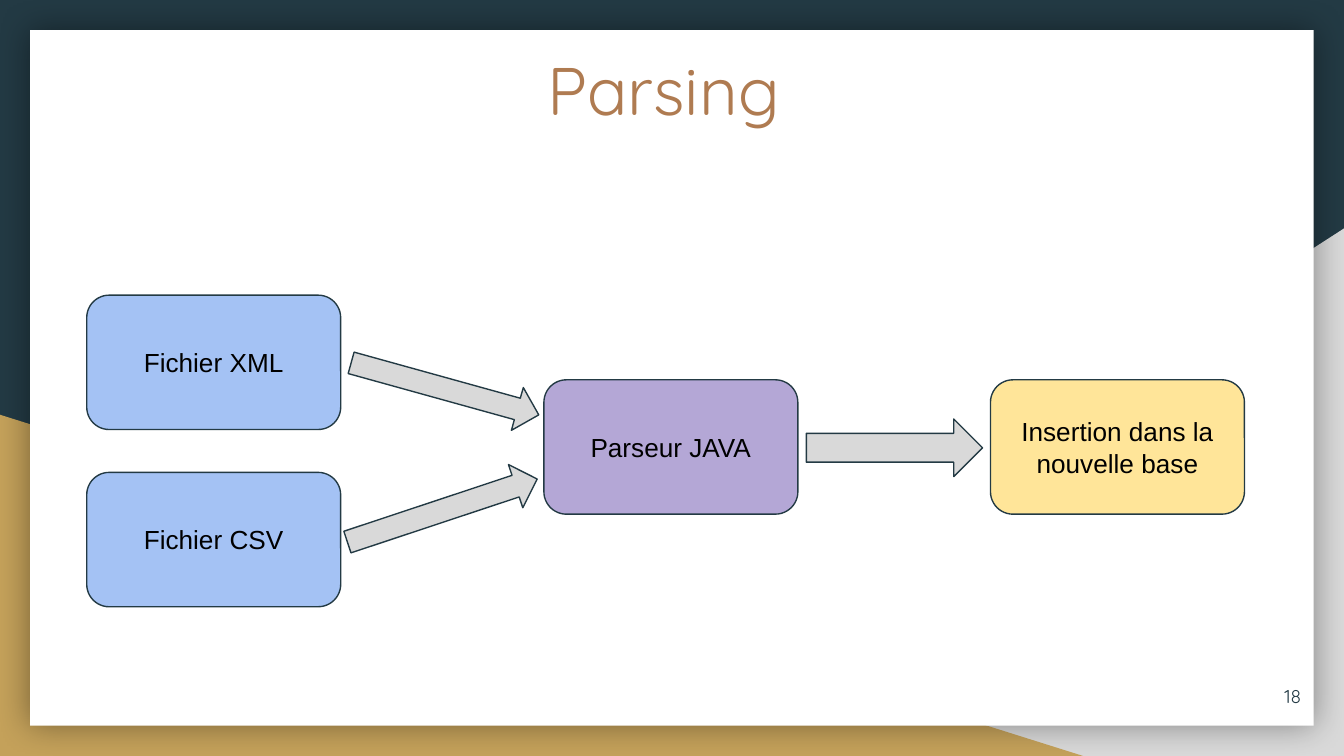
import lxml.etree
import pptx
import pptx.dml.color
import pptx.enum.shapes
import pptx.enum.text
import pptx.oxml.ns
import pptx.util

Cm = pptx.util.Cm
SHAPE = pptx.enum.shapes.MSO_SHAPE
ALIGN = pptx.enum.text.PP_ALIGN
ANCHOR = pptx.enum.text.MSO_ANCHOR
DARK, GREY, BLUE = "233A44", "D9D9D9", "A4C2F4"


def rgb(value):
    """Turn a hex string into a colour."""
    return pptx.dml.color.RGBColor.from_string(value)


def write(sp, text, size, font, color, align, anchor):
    """Set the text of a shape and format it."""
    tf = sp.text_frame
    tf.text = text
    tf.word_wrap = True
    tf.auto_size = pptx.enum.text.MSO_AUTO_SIZE.NONE
    tf.vertical_anchor = anchor
    tf.margin_left = tf.margin_right = tf.margin_top = tf.margin_bottom = Cm(0.25)
    p = tf.paragraphs[0]
    p.alignment = align
    r = p.runs[0]
    r.font.size = pptx.util.Pt(size)
    r.font.name = font
    r.font.color.rgb = rgb(color)


def add_shape(s, kind, box, fill, line=None):
    """Add a filled preset shape, outlined if a line colour is given."""
    sp = s.shapes.add_shape(kind, *map(Cm, box))
    sp.shadow.inherit = False
    sp.fill.solid()
    sp.fill.fore_color.rgb = rgb(fill)
    if line:
        sp.line.color.rgb = rgb(line)
        sp.line.width = pptx.util.Pt(0.75)
    else:
        sp.line.fill.background()
    return sp


def add_glow(sp):
    """Give a shape a soft dark shadow on all sides."""
    qn = pptx.oxml.ns.qn
    effects = sp.element.spPr.find(qn("a:effectLst"))
    shadow = lxml.etree.SubElement(effects, qn("a:outerShdw"), blurRad="228600",
                                   dist="0", dir="0", algn="ctr", rotWithShape="0")
    color = lxml.etree.SubElement(shadow, qn("a:srgbClr"), val="000000")
    lxml.etree.SubElement(color, qn("a:alpha"), val="40000")


def add_backdrop(s, box):
    """Draw the dark background, two corner triangles and the white card."""
    x, y, w, h = box
    s.background.fill.solid()
    s.background.fill.fore_color.rgb = rgb(DARK)
    grey_w, grey_h, gold_w, gold_h = 15.44, 9.97, 20.47, 6.45
    sp = add_shape(s, SHAPE.RIGHT_TRIANGLE,
                   (x + w - grey_w, y + h - grey_h, grey_w, grey_h), GREY)
    sp.element.spPr.find(pptx.oxml.ns.qn("a:xfrm")).set("flipH", "1")
    add_shape(s, SHAPE.RIGHT_TRIANGLE, (x, y + h - gold_h, gold_w, gold_h), "C4A15A")
    margin = 0.57
    card = add_shape(s, SHAPE.RECTANGLE,
                     (x + margin, y + margin, w - 2 * margin, h - 2 * margin), "FFFFFF")
    add_glow(card)


def add_title(s, box, text):
    """Place the title placeholder above the backdrop."""
    sp = s.shapes.title
    sp.left, sp.top, sp.width, sp.height = map(Cm, box)
    write(sp, text, 36, "Quicksand", "AF7B51", ALIGN.CENTER, ANCHOR.TOP)
    s.shapes.element.append(sp.element)


def add_number(s, box, text):
    """Add the page number."""
    sp = s.shapes.add_textbox(*map(Cm, box))
    write(sp, text, 10, "Quicksand", DARK, ALIGN.RIGHT, ANCHOR.MIDDLE)


def add_flow(s, box):
    """Draw the file, parser and database steps with their arrows."""
    x, y, w, h = box
    step_w, step_h = 4.8, 2.54
    parser_x, base_x, middle_y = 8.64, w - step_w, 1.6
    steps = [
        ("Fichier XML", 0, 0, BLUE),
        ("Parseur JAVA", parser_x, middle_y, "B4A7D6"),
        ("Insertion dans la nouvelle base", base_x, middle_y, "FFE599"),
        ("Fichier CSV", 0, h - step_h, BLUE),
    ]
    for text, dx, dy, fill in steps:
        sp = add_shape(s, SHAPE.ROUNDED_RECTANGLE,
                       (x + dx, y + dy, step_w, step_h), fill, DARK)
        sp.adjustments[0] = 0.167
        write(sp, text, 14, "Arial", "000000", ALIGN.CENTER, ANCHOR.MIDDLE)
    arrows = [
        (4.93, 1.35, 3.68, 0.84, 15.5),
        (4.83, 3.64, 3.78, 0.86, -18.4),
        (13.6, 2.34, 3.33, 1.09, 0),
    ]
    for dx, dy, arrow_w, arrow_h, angle in arrows:
        sp = add_shape(s, SHAPE.RIGHT_ARROW,
                       (x + dx, y + dy, arrow_w, arrow_h), GREY, DARK)
        sp.rotation = angle


def main():
    """Build the slide and save it."""
    prs = pptx.Presentation()
    prs.slide_width, prs.slide_height = Cm(25.4), Cm(14.29)
    s = prs.slides.add_slide(prs.slide_layouts[5])
    add_backdrop(s, (0, 0, 25.4, 14.29))
    add_title(s, (2.29, 0.66, 20.85, 2.64), "Parsing ")
    add_number(s, (23.32, 12.62, 1.52, 1.09), "18")
    add_flow(s, (1.64, 5.58, 21.88, 5.89))
    prs.save("out.pptx")


if __name__ == "__main__":
    main()
